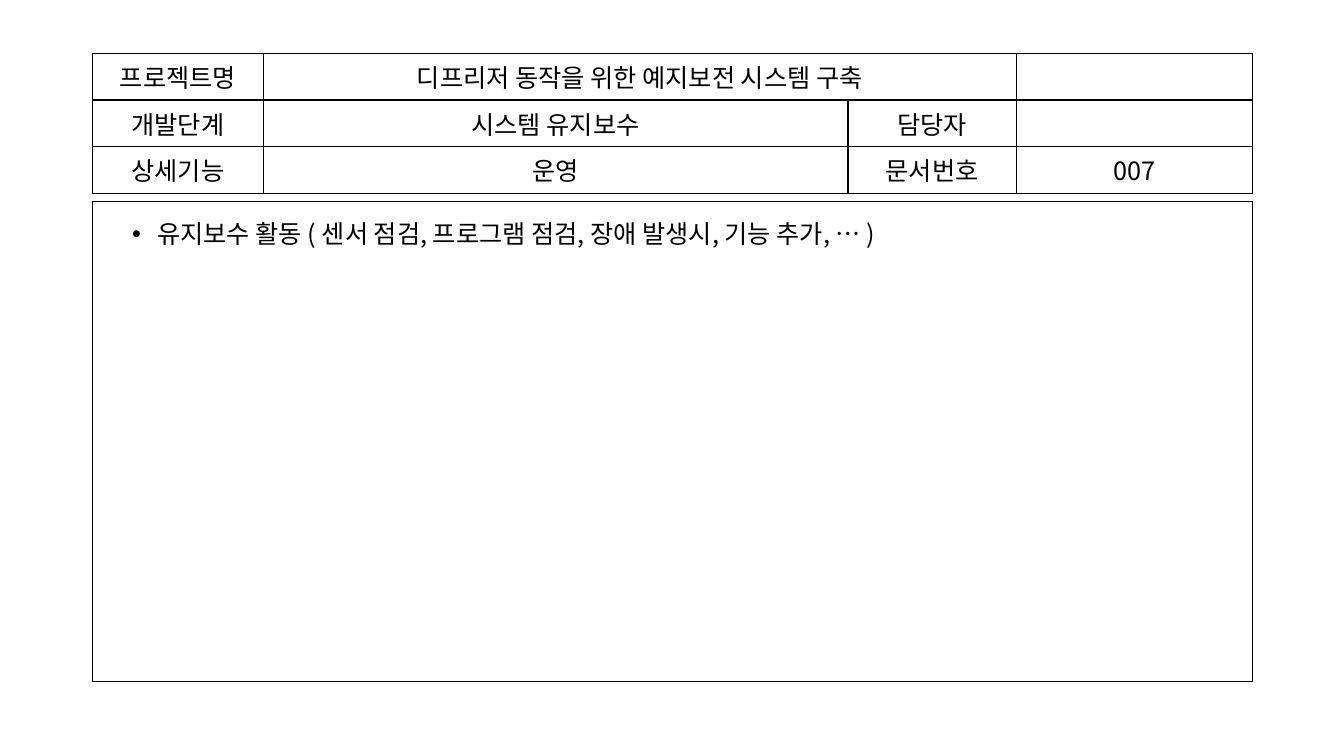
"""Builds a project document form with a header table and a maintenance note."""
from pptx import Presentation, util as u
from pptx.dml.color import RGBColor
from pptx.enum import text
from pptx.oxml import ns, xmlchemy

COLORS = {"ink": "000000", "paper": "FFFFFF"}
FONT = "Noto Sans CJK KR"
LEFT, WIDTH = 0.92, 11.5


def add_child(parent, tag, index=None, **attributes):
    child = xmlchemy.OxmlElement(tag)
    for name, value in attributes.items():
        child.set(name, str(value))
    parent.insert(len(parent) if index is None else index, child)
    return child


def write(paragraph, content, size=18, color="ink", align=text.PP_ALIGN.LEFT):
    paragraph.alignment = align
    run = paragraph.add_run()
    run.text = content
    run.font.size = u.Pt(size)
    run.font.color.rgb = RGBColor.from_string(COLORS[color])
    run.font.name = FONT
    add_child(run.font._element, "a:ea", typeface=FONT)


class FormSlide:
    def __init__(self, presentation):
        self.slide = presentation.slides.add_slide(presentation.slide_layouts[1])
        title = self.slide.shapes.title._element
        title.getparent().remove(title)

    def body(self, items, left, top, width, height):
        shape = self.slide.placeholders[1]
        shape.left, shape.top = u.Inches(left), u.Inches(top)
        shape.width, shape.height = u.Inches(width), u.Inches(height)
        shape.line.color.rgb = RGBColor.from_string(COLORS["ink"])
        shape.line.width = u.Pt(0.75)
        frame = shape.text_frame
        frame.auto_size = text.MSO_AUTO_SIZE.NONE
        frame.word_wrap = True
        frame.vertical_anchor = text.MSO_ANCHOR.TOP
        frame.margin_left, frame.margin_right = u.Inches(0.39), u.Inches(0.1)
        frame.margin_top = frame.margin_bottom = u.Inches(0.2)
        for number, item in enumerate(items):
            paragraph = frame.add_paragraph() if number else frame.paragraphs[0]
            paragraph.line_spacing = 0.9
            paragraph.space_before = u.Pt(10)
            write(paragraph, item)
            properties = paragraph._p.get_or_add_pPr()
            properties.set("marL", str(u.Inches(0.25)))
            properties.set("indent", str(-u.Inches(0.25)))
            add_child(properties, "a:buFont", typeface="Arial")
            add_child(properties, "a:buChar", char="•")

    def border(self, cell):
        properties = cell._tc.get_or_add_tcPr()
        for index, side in enumerate(("a:lnL", "a:lnR", "a:lnT", "a:lnB")):
            line = add_child(properties, side, index, w=u.Pt(1))
            fill = add_child(line, "a:solidFill")
            add_child(fill, "a:srgbClr", val=COLORS["ink"])

    def table(self, rows, columns, left, top, row_height):
        frame = self.slide.shapes.add_table(
            len(rows), len(columns), u.Inches(left), u.Inches(top),
            u.Inches(sum(columns)), u.Inches(row_height * len(rows)))
        table = frame.table
        table.first_row = table.horz_banding = False
        for column, width in zip(table.columns, columns):
            column.width = u.Inches(width)
        for row, contents in zip(table.rows, rows):
            row.height = u.Inches(row_height)
            for cell, content in zip(row.cells, contents):
                cell.fill.background()
                self.border(cell)
                if content:
                    write(cell.text_frame.paragraphs[0], content,
                          align=text.PP_ALIGN.CENTER)
        return table


presentation = Presentation()
presentation.slide_width = u.Inches(13.33)
presentation.slide_height = u.Inches(7.5)
form = FormSlide(presentation)
form.slide.background.fill.solid()
form.slide.background.fill.fore_color.rgb = RGBColor.from_string(COLORS["paper"])
form.body(["유지보수 활동 ( 센서 점검, 프로그램 점검, 장애 발생시, 기능 추가, … )"],
          LEFT, 2, WIDTH, 4.76)
header = form.table([
    ["프로젝트명", "디프리저 동작을 위한 예지보전 시스템 구축", "", ""],
    ["개발단계", "시스템 유지보수", "담당자", ""],
    ["상세기능", "운영", "문서번호", "007"],
], [1.69, 5.8, 1.67, 2.34], LEFT, 0.53, 0.46)
header.cell(0, 1).merge(header.cell(0, 2))
presentation.save("out.pptx")
